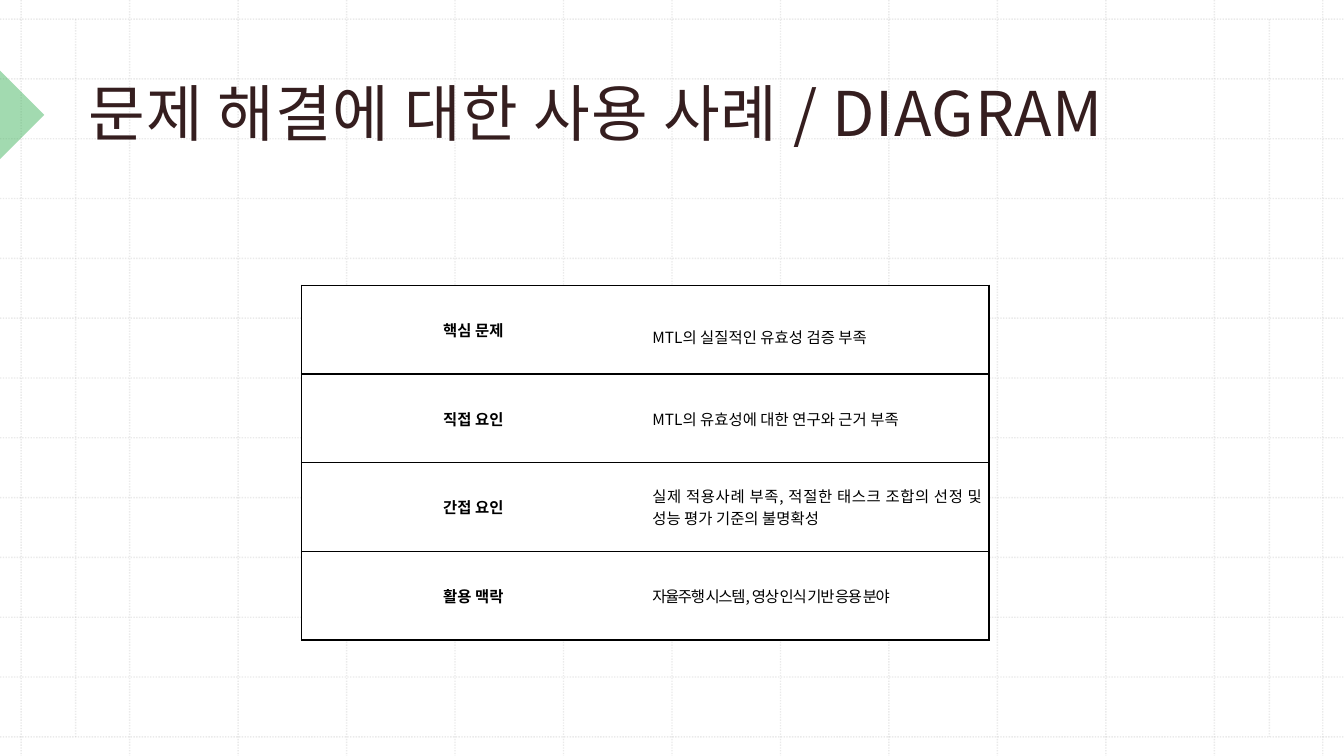
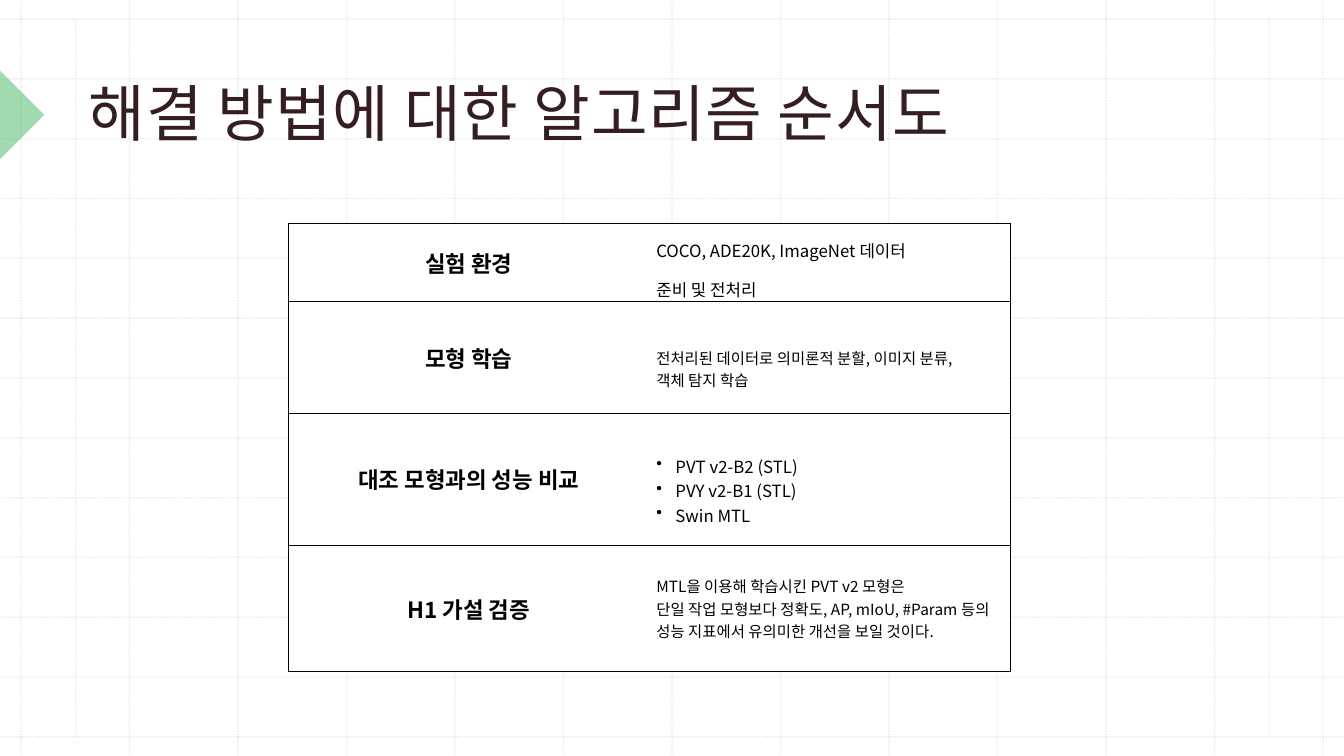
from lxml.etree import SubElement
from pptx import Presentation
from pptx.dml.color import RGBColor
from pptx.enum.dml import MSO_LINE
from pptx.enum.shapes import MSO_CONNECTOR, MSO_SHAPE
from pptx.enum.text import MSO_ANCHOR, PP_ALIGN
from pptx.oxml.ns import qn
from pptx.util import Inches, Pt

COLORS = {
    "paper": "FFFFFF",
    "grid": "BCBCBC",
    "marker": "47B662",
    "title": "351E1F",
    "ink": "000000",
}
FONT = "Noto Sans CJK KR"
WIDTH, HEIGHT = 13.33, 7.5
GRID_STEPS = 12
GRID_X, GRID_Y = (0.21, 13.12), (0.19, 7.31)
GRID_MARGINS = (0.75, 12.59)

# Each row: heading, body paragraphs, body format
SLIDES = [
    {
        "title": "문제 해결에 대한 사용 사례 / DIAGRAM",
        "corner": (2.99, 2.83),
        "column": 3.41,
        "heights": [0.88] * 4,
        "heading_size": 11,
        "rows": [
            ("핵심 문제", ["MTL의 실질적인 유효성 검증 부족"], {"line_spacing": 1.6}),
            ("직접 요인", ["MTL의 유효성에 대한 연구와 근거 부족"], {}),
            ("간접 요인",
             ["실제 적용사례 부족, 적절한 태스크 조합의 선정 및 성능 평가 기준의 불명확성"], {}),
            ("활용 맥락", ["자율주행 시스템, 영상 인식 기반 응용 분야"], {"tracking": -1}),
        ],
    },
    {
        "title": "해결 방법에 대한 알고리즘 순서도",
        "corner": (2.86, 2.22),
        "column": 3.58,
        "heights": [0.77, 1.11, 1.31, 1.25],
        "heading_size": 16,
        "rows": [
            ("실험 환경", ["COCO, ADE20K, ImageNet 데이터", "준비 및 전처리"],
             {"size": 12, "line_spacing": 1.6}),
            ("모형 학습",
             ["전처리된 데이터로 의미론적 분할, 이미지 분류,", "객체 탐지 학습"],
             {"top": 0.22}),
            ("대조 모형과의 성능 비교",
             ["PVT v2-B2 (STL)", "PVY v2-B1 (STL)", "Swin MTL"],
             {"size": 12, "bullet": "•", "top": 0.22}),
            ("H1 가설 검증",
             ["MTL을 이용해 학습시킨 PVT v2 모형은",
              "단일 작업 모형보다 정확도, AP, mIoU, #Param 등의 성능 지표에서 "
              "유의미한 개선을 보일 것이다."],
             {"align": PP_ALIGN.LEFT}),
        ],
    },
]


def rgb(name):
    return RGBColor.from_string(COLORS[name])


def set_alpha(fill_parent, percent):
    color = fill_parent.find(".//" + qn("a:srgbClr"))
    SubElement(color, qn("a:alpha"), val=str(percent * 1000))


def write_text(frame, paragraphs, size=11, color="ink", bold=False,
               align=PP_ALIGN.LEFT, line_spacing=1.0, tracking=0, bullet=None):
    frame.word_wrap = True
    for index, text in enumerate(paragraphs):
        paragraph = frame.paragraphs[0] if index == 0 else frame.add_paragraph()
        paragraph.alignment = align
        paragraph.line_spacing = line_spacing
        if bullet:
            properties = paragraph._p.get_or_add_pPr()
            properties.set("marL", str(Inches(0.19)))
            properties.set("indent", str(-Inches(0.19)))
            SubElement(properties, qn("a:buChar"), char=bullet)
        run = paragraph.add_run()
        run.text = text
        run.font.size = Pt(size)
        run.font.bold = bold
        run.font.color.rgb = rgb(color)
        run.font.name = FONT
        run_properties = run._r.get_or_add_rPr()
        SubElement(run_properties, qn("a:ea"), typeface=FONT)
        if tracking:
            run_properties.set("spc", str(int(tracking * 100)))


def draw_grid_line(slide, x1, y1, x2, y2):
    rule = slide.shapes.add_connector(
        MSO_CONNECTOR.STRAIGHT, Inches(x1), Inches(y1), Inches(x2), Inches(y2))
    rule.line.color.rgb = rgb("grid")
    rule.line.width = Pt(1)
    rule.line.dash_style = MSO_LINE.ROUND_DOT
    properties = rule._element.spPr
    set_alpha(properties, 30)
    SubElement(properties, qn("a:effectLst"))


def draw_background(slide):
    """Draw the dotted grid and the half-seen marker at the left edge."""
    slide.background.fill.solid()
    slide.background.fill.fore_color.rgb = rgb("paper")
    for step in range(GRID_STEPS + 1):
        x, y = (first + (last - first) * step / GRID_STEPS
                for first, last in (GRID_X, GRID_Y))
        draw_grid_line(slide, x, 0, x, HEIGHT)
        draw_grid_line(slide, 0, y, WIDTH, y)
    for x in GRID_MARGINS:
        draw_grid_line(slide, x, GRID_Y[0], x, GRID_Y[1])

    marker = slide.shapes.add_shape(
        MSO_SHAPE.RIGHT_TRIANGLE, Inches(-0.31), Inches(0.83), Inches(0.62), Inches(0.62))
    marker.rotation = 225
    marker.shadow.inherit = False
    marker.fill.solid()
    marker.fill.fore_color.rgb = rgb("marker")
    set_alpha(marker._element.spPr, 50)
    marker.line.fill.background()


def draw_title(slide, title):
    frame = slide.shapes.add_textbox(
        Inches(0.76), 0, Inches(11.29), Inches(1.58)).text_frame
    frame.vertical_anchor = MSO_ANCHOR.BOTTOM
    frame.margin_left = frame.margin_right = frame.margin_top = Inches(0.12)
    frame.margin_bottom = Inches(0.1)
    write_text(frame, [title], size=44, color="title", line_spacing=1.14, tracking=0.5)


def set_borders(cell, visible):
    """Rule the sides named in visible (of L, R, T, B) and clear the others."""
    properties = cell._tc.get_or_add_tcPr()
    for side in "LRTB":
        border = SubElement(properties, qn("a:ln" + side), w=str(Pt(1)))
        if side in visible:
            fill = SubElement(border, qn("a:solidFill"))
            SubElement(fill, qn("a:srgbClr"), val=COLORS["ink"])
        else:
            SubElement(border, qn("a:noFill"))


def fill_cell(cell, paragraphs, borders, top=0, **text_format):
    cell.vertical_anchor = MSO_ANCHOR.MIDDLE
    cell.margin_left = cell.margin_right = Inches(0.07)
    cell.margin_top, cell.margin_bottom = Inches(top), 0
    set_borders(cell, borders)
    cell.fill.solid()
    cell.fill.fore_color.rgb = rgb("paper")
    write_text(cell.text_frame, paragraphs, **text_format)


def draw_table(slide, content):
    left, top = content["corner"]
    heights, column = content["heights"], content["column"]
    table = slide.shapes.add_table(
        len(heights), 2, Inches(left), Inches(top),
        Inches(2 * column), Inches(sum(heights))).table
    table.first_row = table.horz_banding = False
    for table_column in table.columns:
        table_column.width = Inches(column)
    for index, (heading, body, body_format) in enumerate(content["rows"]):
        table.rows[index].height = Inches(heights[index])
        fill_cell(table.cell(index, 0), [heading], "LTB", bold=True,
                  size=content["heading_size"], align=PP_ALIGN.CENTER)
        fill_cell(table.cell(index, 1), body, "RTB",
                  **{"align": PP_ALIGN.JUSTIFY, **body_format})


def main():
    deck = Presentation()
    deck.slide_width, deck.slide_height = Inches(WIDTH), Inches(HEIGHT)
    for content in SLIDES:
        slide = deck.slides.add_slide(deck.slide_layouts[6])
        draw_background(slide)
        draw_title(slide, content["title"])
        draw_table(slide, content)
    deck.save("out.pptx")


if __name__ == "__main__":
    main()
